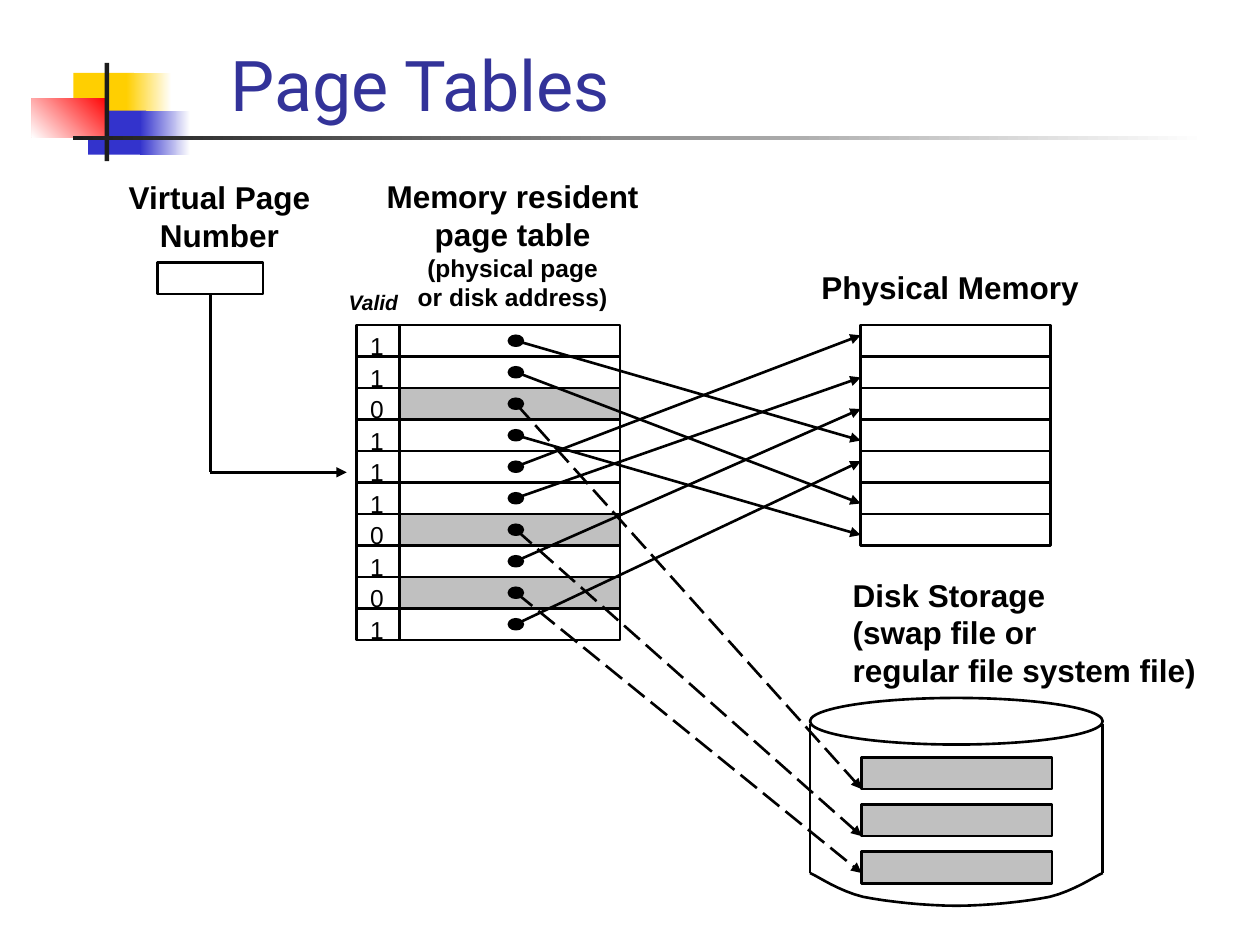
from collections import namedtuple

from lxml.etree import SubElement
from pptx import Presentation
from pptx.dml.color import RGBColor
from pptx.enum.dml import MSO_LINE
from pptx.enum.shapes import MSO_CONNECTOR, MSO_SHAPE
from pptx.enum.text import MSO_ANCHOR, PP_ALIGN
from pptx.oxml.ns import qn
from pptx.util import Cm, Pt

Box = namedtuple("Box", "left top width height")

COLORS = {
    "ink": "000000",
    "paper": "FFFFFF",
    "swapped": "C0C0C0",
    "title": "333399",
    "title_shadow": "969696",
    "yellow": "FFCF01",
    "blue": "3333CC",
    "red": "FF0000",
    "bar": "1C1C1C",
}
FORMATS = {
    "title": {"name": "Roboto", "size": Pt(40)},
    "heading": {"name": "Arial", "size": Pt(18), "bold": True},
    "detail": {"name": "Arial", "size": Pt(14), "bold": True},
    "valid": {"name": "Arial", "size": Pt(12), "bold": True, "italic": True},
    "bit": {"name": "Arial", "size": Pt(14)},
}
FRAMES = {
    "title": {"margin_left": 0, "margin_right": 0, "margin_top": 0,
              "margin_bottom": 0, "vertical_anchor": MSO_ANCHOR.MIDDLE},
    "label": {"word_wrap": False},
}
VALID_BITS = "1101110101"
ROW = 0.635
MEMORY_TARGETS = {0: 3.67, 1: 5.67, 3: 6.67, 4: 0.33, 5: 1.67, 7: 2.67, 9: 4.33}
DISK_TARGETS = {2: ROW, 6: ROW, 8: 0.43}
DOT_X = 3.21


def rgb(color):
    return RGBColor.from_string(COLORS[color])


def apply(target, values):
    for attribute, value in values.items():
        setattr(target, attribute, value)


def add_block(slide, box, fill=None, outline="ink", preset=MSO_SHAPE.RECTANGLE):
    block = slide.shapes.add_shape(preset, *map(Cm, box))
    finish_outline(block, outline)
    if fill:
        block.fill.solid()
        block.fill.fore_color.rgb = rgb(fill)
    else:
        block.fill.background()
    return block


def finish_outline(shape, outline="ink"):
    shape.shadow.inherit = False
    if outline:
        shape.line.color.rgb = rgb(outline)
        shape.line.width = Pt(1.5)
    else:
        shape.line.fill.background()


def add_fade(slide, box, start, end, angle=180):
    fade = add_block(slide, box, outline=None)
    fade.fill.gradient()
    fade.fill.gradient_angle = angle
    for stop, color in zip(fade.fill.gradient_stops, (start, end)):
        stop.color.rgb = rgb(color)


def add_text(slide, box, lines, align=PP_ALIGN.LEFT, frame="label", color="ink"):
    text_frame = slide.shapes.add_textbox(*map(Cm, box)).text_frame
    apply(text_frame, {"word_wrap": True, **FRAMES[frame]})
    for index, (wording, style) in enumerate(lines):
        paragraph = text_frame.add_paragraph() if index else text_frame.paragraphs[0]
        paragraph.alignment = align
        run = paragraph.add_run()
        run.text = wording
        apply(run.font, FORMATS[style])
        run.font.color.rgb = rgb(color)
    return text_frame


def add_line(slide, start, end, arrow=False, dashed=False):
    line = slide.shapes.add_connector(MSO_CONNECTOR.STRAIGHT, *map(Cm, start + end))
    line.line.color.rgb = rgb("ink")
    line.line.width = Pt(1.5)
    if dashed:
        line.line.dash_style = MSO_LINE.LONG_DASH
    if arrow:
        SubElement(line.line._get_or_add_ln(), qn("a:tailEnd"), type="triangle")
    SubElement(line._element.spPr, qn("a:effectLst"))
    return line


def draw_ornament(slide, box):
    x, y = box.left, box.top
    add_block(slide, Box(x + 0.84, y + 0.2, 1.22, 0.89), "yellow", None)
    add_fade(slide, Box(x + 1.91, y + 0.2, 0.91, 0.89), "paper", "yellow")
    add_block(slide, Box(x + 1.14, y + 0.96, 1.17, 0.89), "blue", None)
    add_fade(slide, Box(x + 2.18, y + 0.96, 1.02, 0.89), "paper", "blue")
    add_fade(slide, Box(x, y + 0.71, 1.55, 0.79), "red", "paper", 225)
    add_block(slide, Box(x + 1.47, y, 0.09, box.height), "bar", None)
    add_fade(slide, Box(x + 0.84, y + 1.47, box.width - 0.84, 0.09), "paper", "bar")


def draw_title(slide, box):
    title = add_text(slide, box, [("Page Tables", "title")], frame="title", color="title")
    properties = title.paragraphs[0].runs[0].font._element
    effects = properties.makeelement(qn("a:effectLst"), {})
    properties.find(qn("a:solidFill")).addnext(effects)
    shadow = SubElement(effects, qn("a:outerShdw"), dist="38100", dir="2700000")
    SubElement(shadow, qn("a:srgbClr"), val=COLORS["title_shadow"])


def draw_page_table(slide, box):
    valid_width = 0.86
    for row, bit in enumerate(VALID_BITS):
        top = box.top + row * ROW
        fill = "paper" if bit == "1" else "swapped"
        add_block(slide, Box(box.left + valid_width, top, box.width - valid_width, ROW), fill)
        add_block(slide, Box(box.left + DOT_X - 0.14, top + 0.22, 0.28, 0.2),
                  "ink", preset=MSO_SHAPE.OVAL)
        add_block(slide, Box(box.left, top, valid_width, ROW))
        add_text(slide, Box(box.left + 0.02, top, 0.79, 0.86), [(bit, "bit")])
    add_text(slide, Box(box.left + 0.35, box.top - 3.1, 5.59, 2.97),
             [("Memory resident", "heading"), ("page table", "heading"),
              ("(physical page", "detail"), ("or disk address)", "detail")],
             PP_ALIGN.CENTER)
    add_text(slide, Box(box.left - 0.41, box.top - 0.84, 1.7, 0.76), [("Valid", "valid")])


def draw_physical_memory(slide, box):
    for row in range(7):
        add_block(slide, Box(box.left, box.top + row * ROW, box.width, ROW), "paper")
    add_text(slide, Box(box.left - 1.04, box.top - 1.27, 5.69, 1.02),
             [("Physical Memory", "heading")])


def disk_slots(box):
    return [Box(box.left + 1.04, box.top + 1.2 + 0.95 * slot, 3.84, ROW)
            for slot in range(3)]


def draw_links(slide, table, memory, disk):
    targets = {row: (memory.left, memory.top + offset * ROW)
               for row, offset in MEMORY_TARGETS.items()}
    for (row, offset), slot in zip(DISK_TARGETS.items(), disk_slots(disk)):
        targets[row] = (slot.left, slot.top + offset)
    for row, target in targets.items():
        dot = (table.left + DOT_X, table.top + (row + 0.5) * ROW)
        add_line(slide, dot, target, arrow=True, dashed=row in DISK_TARGETS)


def bezier(points, steps=8):
    for step in range(1, steps + 1):
        t = step / steps
        weights = ((1 - t) ** 3, 3 * t * (1 - t) ** 2, 3 * t * t * (1 - t), t ** 3)
        yield tuple(sum(w * point[axis] for w, point in zip(weights, points))
                    for axis in (0, 1))


def draw_disk(slide, box):
    right, wall_top, wall_bottom = box.left + box.width, box.top + 0.53, box.top + 3.53
    add_block(slide, Box(box.left, box.top, box.width, 0.94), preset=MSO_SHAPE.OVAL)
    for x in (box.left, right):
        add_line(slide, (x, wall_top), (x, wall_bottom))
    side = [(0, 0), (0.18, 0.08), (0.58, 0.36), (1.07, 0.48)]
    base = [side[-1], (1.57, 0.58), (2.34, 0.66), (box.width / 2, 0.66)]
    half = [(0, 0), *bezier(side), *bezier(base)]
    rim = half + [(box.width - x, y) for x, y in reversed(half[:-1])]
    points = [(Cm(box.left + x), Cm(wall_bottom + y)) for x, y in rim]
    builder = slide.shapes.build_freeform(*points[0])
    builder.add_line_segments(points[1:], close=False)
    bottom = builder.convert_to_shape()
    bottom.fill.background()
    finish_outline(bottom)
    for slot in disk_slots(box):
        add_block(slide, slot, "swapped")
    add_text(slide, Box(box.left + 0.61, box.top - 2.59, 7.42, 2.54),
             [(line, "heading") for line in
              ("Disk Storage", "(swap file or", "regular file system file)")])


def draw_virtual_page(slide, box):
    number = add_block(slide, Box(box.left, box.top, 2.12, ROW), "paper")
    add_text(slide, Box(box.left - 0.84, box.top - 1.83, 4.17, 1.78),
             [("Virtual Page", "heading"), ("Number", "heading")], PP_ALIGN.CENTER)
    middle, bottom = box.left + 1.06, box.top + box.height
    stem = add_line(slide, (middle, box.top + ROW), (middle, bottom))
    stem.begin_connect(number, 2)
    add_line(slide, (middle, bottom), (box.left + box.width, bottom), arrow=True)


def main():
    presentation = Presentation()
    presentation.slide_width, presentation.slide_height = Cm(25.4), Cm(19.05)
    slide = presentation.slides.add_slide(presentation.slide_layouts[6])
    table = Box(7.19, 6.55, 5.31, 6.35)
    memory = Box(17.35, 6.55, 3.83, 4.45)
    disk = Box(16.33, 14.07, 5.9, 4.19)
    draw_ornament(slide, Box(0.64, 1.27, 23.7, 1.98))
    draw_title(slide, Box(4.65, 0.84, 12.93, 1.7))
    draw_page_table(slide, table)
    draw_physical_memory(slide, memory)
    draw_links(slide, table, memory, disk)
    draw_disk(slide, disk)
    draw_virtual_page(slide, Box(3.18, 5.29, 3.81, 4.23))
    presentation.save("out.pptx")


if __name__ == "__main__":
    main()
